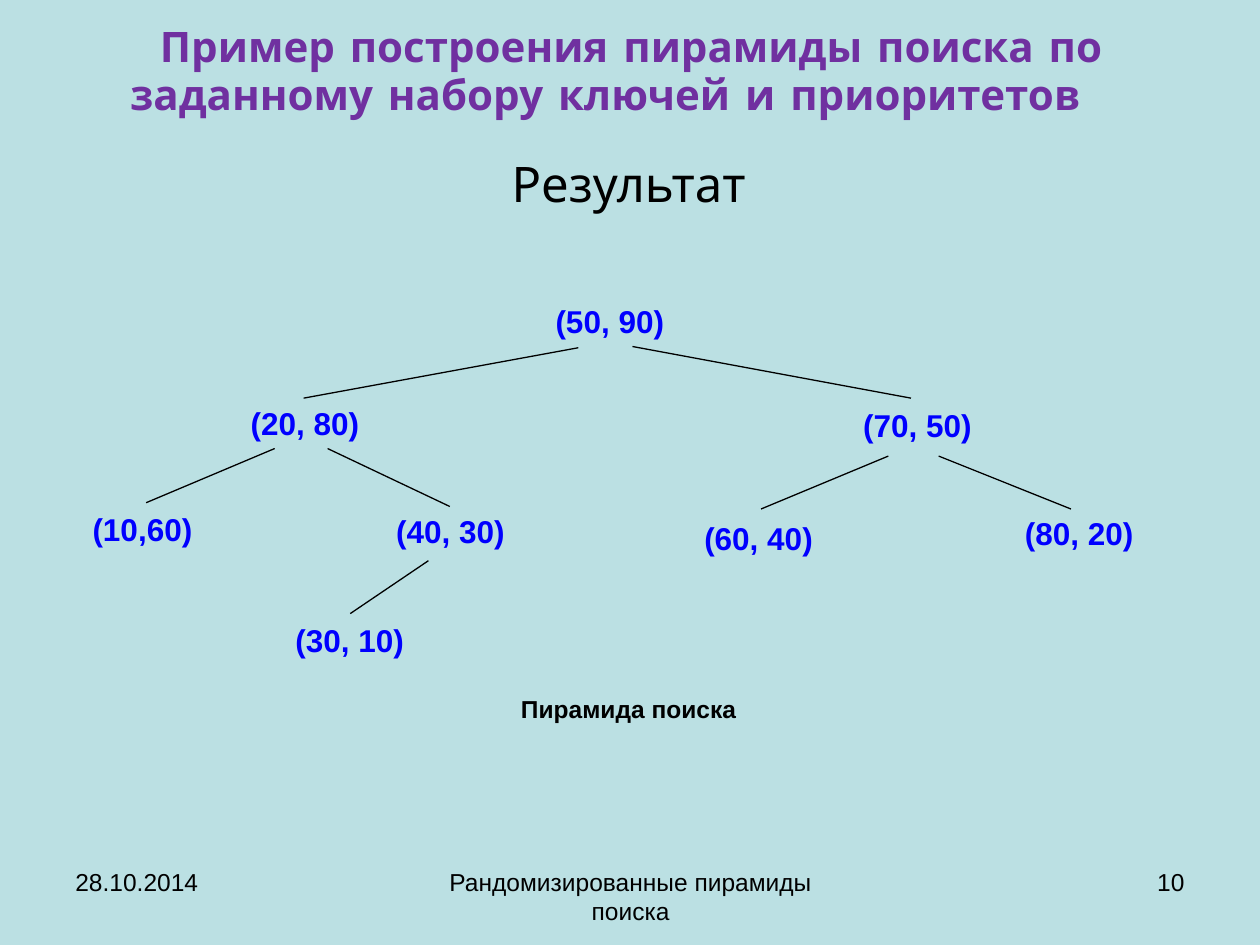
from lxml.etree import SubElement
from pptx import Presentation
from pptx.dml.color import RGBColor
from pptx.enum.shapes import MSO_CONNECTOR, MSO_SHAPE
from pptx.enum.text import MSO_ANCHOR, MSO_AUTO_SIZE, PP_ALIGN
from pptx.oxml.ns import qn
from pptx.util import Inches, Pt

COLORS = {"ground": "BBE0E3", "title": "7030A0", "node": "0000FF", "ink": "000000"}
COLUMNS, ROWS = 100, 75

# Label, then left, top, width in grid columns and rows
NODES = [
    ("(50, 90)", 43.7, 23.9, 9.4),
    ("(20, 80)", 19.4, 32.0, 9.6),
    ("(70, 50)", 67.9, 32.1, 9.8),
    ("(10,60)", 6.9, 40.4, 8.8),
    ("(40, 30)", 31.0, 40.5, 9.5),
    ("(60, 40)", 55.6, 41.1, 9.2),
    ("(80, 20)", 80.9, 40.7, 9.5),
    ("(30, 10)", 22.8, 49.2, 9.9),
]
NODE_HEIGHT = 3.5

# Parent end and child end of each branch
BRANCHES = [
    ((45.9, 27.6), (24.1, 31.6)),
    ((50.2, 27.5), (72.3, 31.6)),
    ((21.8, 35.6), (11.6, 39.9)),
    ((26.0, 35.6), (35.7, 40.2)),
    ((70.5, 36.2), (60.4, 40.4)),
    ((74.5, 36.2), (85.0, 40.4)),
    ((34.0, 44.5), (27.8, 48.7)),
]

FOOTERS = [
    ("28.10.2014", 5.0, 23.3, PP_ALIGN.LEFT),
    ("Рандомизированные пирамиды поиска", 34.2, 31.7, PP_ALIGN.CENTER),
    ("10", 71.7, 23.3, PP_ALIGN.RIGHT),
]


def rgb(name):
    return RGBColor.from_string(COLORS[name])


def write(shape, text, size, color="ink", font="Arial", bold=False,
          align=PP_ALIGN.CENTER, anchor=MSO_ANCHOR.TOP, spacing=1.0,
          insets=(0.1, 0.05, 0.1, 0.05), indent=0):
    """Fill a shape with one formatted paragraph; insets and indent in inches."""
    frame = shape.text_frame
    frame.word_wrap = True
    frame.auto_size = MSO_AUTO_SIZE.NONE
    frame.vertical_anchor = anchor
    (frame.margin_left, frame.margin_top,
     frame.margin_right, frame.margin_bottom) = map(Inches, insets)
    paragraph = frame.paragraphs[0]
    paragraph.text = text
    paragraph.alignment = align
    paragraph.line_spacing = spacing
    paragraph.space_before = Pt(0)
    properties = paragraph._p.get_or_add_pPr()
    properties.set("marL", "0")
    properties.set("indent", str(Inches(indent)))
    SubElement(properties, qn("a:buNone"))
    run_font = paragraph.runs[0].font
    run_font.name, run_font.size, run_font.bold = font, Pt(size), bold
    run_font.color.rgb = rgb(color)


class TreeSlide:
    heading_font = "Comic Neue"
    label_insets = (0.02, 0.01, 0.02, 0.01)

    def __init__(self, deck):
        self.column = deck.slide_width / COLUMNS
        self.row = deck.slide_height / ROWS
        self.slide = deck.slides.add_slide(deck.slide_layouts[1])
        background = self.slide.background.fill
        background.solid()
        background.fore_color.rgb = rgb("ground")

    def area(self, left, top, width, height):
        return (round(left * self.column), round(top * self.row),
                round(width * self.column), round(height * self.row))

    def heading(self, index, text, area, **style):
        holder = self.slide.placeholders[index]
        holder.left, holder.top, holder.width, holder.height = self.area(*area)
        write(holder, text, font=self.heading_font, **style)

    def label(self, text, area, **style):
        box = self.slide.shapes.add_shape(MSO_SHAPE.RECTANGLE, *self.area(*area))
        box.shadow.inherit = False
        box.fill.solid()
        box.fill.fore_color.rgb = rgb("ground")
        box.line.fill.background()
        write(box, text, bold=True, insets=self.label_insets, **style)

    def branch(self, parent, child):
        line = self.slide.shapes.add_connector(
            MSO_CONNECTOR.STRAIGHT, *self.area(*parent, *child))
        line.line.color.rgb = rgb("ink")
        line.line.width = Pt(0.75)
        SubElement(line._element.spPr, qn("a:effectLst"))

    def footer(self, text, left, width, align):
        box = self.slide.shapes.add_textbox(*self.area(left, 68.3, width, 5.2))
        write(box, text, 14, align=align)


def main():
    deck = Presentation()
    deck.slide_width, deck.slide_height = Inches(10), Inches(7.5)
    tree = TreeSlide(deck)
    # The wide right inset and the indent set the second line left of the first
    tree.heading(0, "Пример построения пирамиды поиска по заданному набору "
                    "ключей и приоритетов", (5.1, 2, 90, 8.4),
                 size=24, color="title", bold=True, spacing=0.95,
                 anchor=MSO_ANCHOR.MIDDLE, insets=(0.1, 0.05, 0.51, 0.15),
                 indent=0.41)
    tree.heading(1, "Результат", (4.9, 12.2, 90, 6), size=28, spacing=0.9)
    for text, left, top, width in NODES:
        tree.label(text, (left, top, width, NODE_HEIGHT), size=18, color="node")
    for parent, child in BRANCHES:
        tree.branch(parent, child)
    tree.label("Пирамида поиска", (27.6, 55, 44.6, 5.7), size=14)
    for footer in FOOTERS:
        tree.footer(*footer)
    deck.save("out.pptx")


if __name__ == "__main__":
    main()
